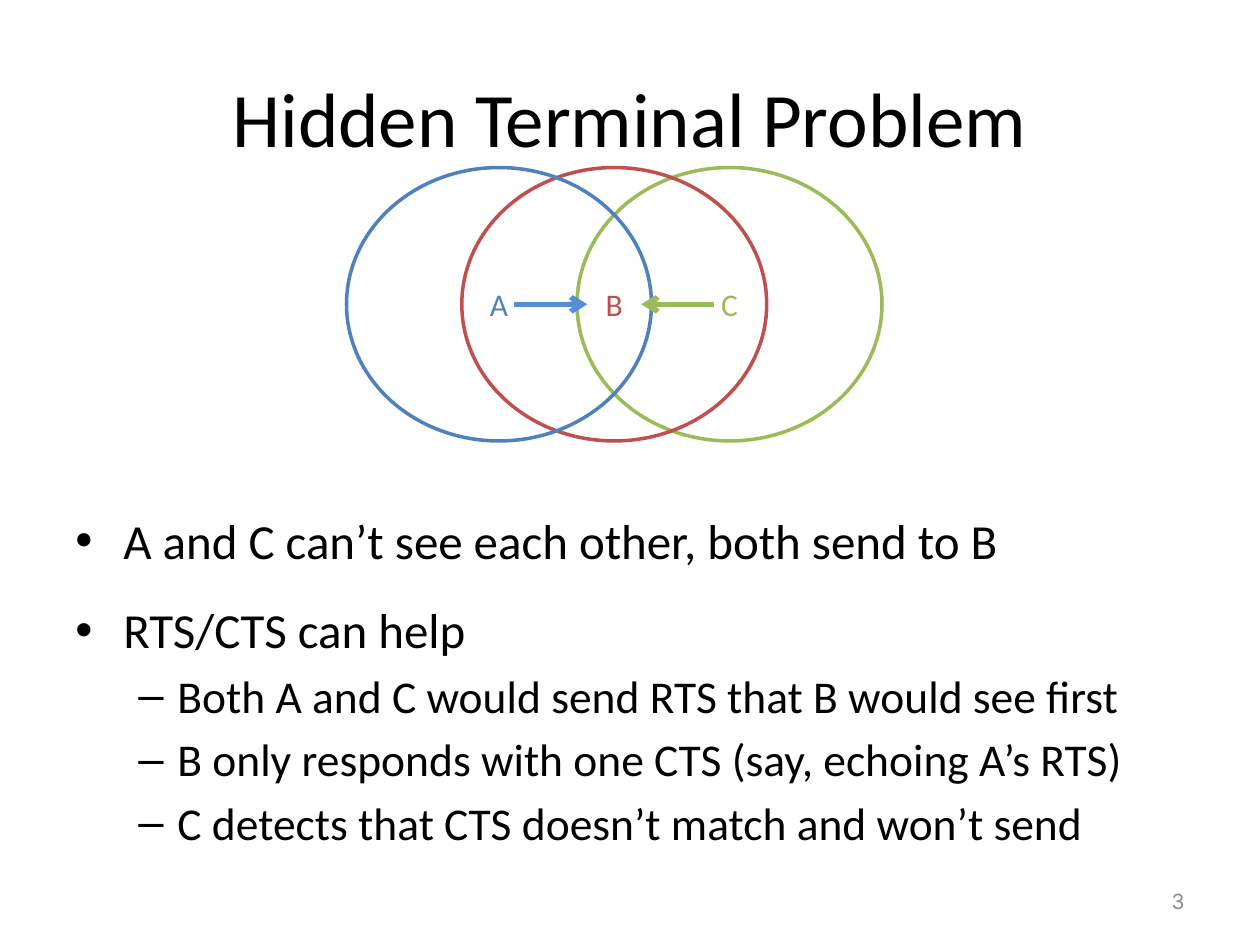
from dataclasses import dataclass
from lxml.etree import SubElement
from pptx import Presentation
from pptx.dml.color import RGBColor
from pptx.enum.shapes import MSO_CONNECTOR as Connector, MSO_SHAPE as Shape
from pptx.enum.text import MSO_ANCHOR as Anchor, PP_ALIGN as Align
from pptx.oxml.ns import qn
from pptx.util import Inches, Pt


@dataclass(frozen=True)
class Theme:
    font: str = "Calibri"
    number_font: str = "Inter"
    ink: str = "000000"
    muted: str = "8C8C8C"
    blue: str = "4F81BD"
    red: str = "C0504D"
    green: str = "9BBB59"
    arrow_blue: str = "558ED5"
    title: int = 44
    point: int = 28
    detail: int = 26
    label: int = 18
    number: int = 12


theme = Theme()
WIDTH, HEIGHT = 10, 7.5
MARGIN = WIDTH / 20

TITLE = "Hidden Terminal Problem"
NUMBER = "3"
POINTS = [
    (0, "A and C can’t see each other, both send to B", 12),
    (0, "RTS/CTS can help", 0),
    (1, "Both A and C would send RTS that B would see first", 0),
    (1, "B only responds with one CTS (say, echoing A’s RTS)", 0),
    (1, "C detects that CTS doesn’t match and won’t send", 0),
]
LEVELS = [("•", 0.38, 0.38, theme.point), ("–", 0.81, 0.31, theme.detail)]
TERMINALS = [("A", theme.blue), ("B", theme.red), ("C", theme.green)]
RANGE_LEFT, RANGE_TOP, RANGE_STEP = 2.75, 1.33, 0.915
RANGE_WIDTH, RANGE_HEIGHT = 2.42, 2.17
ARROWS = [(5.67, 5.09, theme.green), (4.08, 4.66, theme.arrow_blue)]

presentation = Presentation()
presentation.slide_width, presentation.slide_height = Inches(WIDTH), Inches(HEIGHT)
slide = presentation.slides.add_slide(presentation.slide_layouts[6])


def write(paragraph, text, size, color=theme.ink, font=theme.font,
          align=Align.LEFT, before=0, after=0):
    paragraph.alignment = align
    paragraph.space_before, paragraph.space_after = Pt(before), Pt(after)
    run = paragraph.add_run()
    run.text = text
    run.font.name, run.font.size = font, Pt(size)
    run.font.color.rgb = RGBColor.from_string(color)


def add_frame(left, top, width, height, anchor=Anchor.MIDDLE):
    box = slide.shapes.add_textbox(*map(Inches, (left, top, width, height)))
    box.text_frame.word_wrap = True
    box.text_frame.vertical_anchor = anchor
    return box.text_frame


def add_bullet(paragraph, character, indent, hanging):
    properties = paragraph._p.get_or_add_pPr()
    properties.set("marL", str(Inches(indent)))
    properties.set("indent", str(-Inches(hanging)))
    SubElement(properties, qn("a:buFont"), typeface="Arial")
    SubElement(properties, qn("a:buChar"), char=character)


def add_range(column, name, color):
    left = RANGE_LEFT + column * RANGE_STEP
    circle = slide.shapes.add_shape(
        Shape.OVAL, *map(Inches, (left, RANGE_TOP, RANGE_WIDTH, RANGE_HEIGHT)))
    circle.shadow.inherit = False
    circle.fill.background()
    circle.line.color.rgb = RGBColor.from_string(color)
    circle.line.width = Pt(2)
    circle.text_frame.vertical_anchor = Anchor.MIDDLE
    write(circle.text_frame.paragraphs[0], name, theme.label, color, align=Align.CENTER)


def add_arrow(start, end, color):
    middle = RANGE_TOP + RANGE_HEIGHT / 2
    arrow = slide.shapes.add_connector(
        Connector.STRAIGHT, *map(Inches, (start, middle, end, middle)))
    arrow.line.color.rgb = RGBColor.from_string(color)
    arrow.line.width = Pt(3)
    SubElement(arrow.line._get_or_add_ln(), qn("a:tailEnd"), type="arrow")
    SubElement(arrow._element.spPr, qn("a:effectLst"))


title = add_frame(MARGIN, 0.3, WIDTH - 2 * MARGIN, 1.25)
write(title.paragraphs[0], TITLE, theme.title, align=Align.CENTER)

body = add_frame(MARGIN, 4, 9.25, 3, Anchor.TOP)
for index, (level, text, after) in enumerate(POINTS):
    paragraph = body.add_paragraph() if index else body.paragraphs[0]
    character, indent, hanging, size = LEVELS[level]
    paragraph.level = level
    write(paragraph, text, size, before=size * 0.2, after=after)
    add_bullet(paragraph, character, indent, hanging)

number = add_frame(7.17, 6.95, 2.33, 0.4)
write(number.paragraphs[0], NUMBER, theme.number, theme.muted,
      theme.number_font, Align.RIGHT)

for column, (name, color) in reversed(list(enumerate(TERMINALS))):
    add_range(column, name, color)
for arrow in ARROWS:
    add_arrow(*arrow)

presentation.save("out.pptx")
